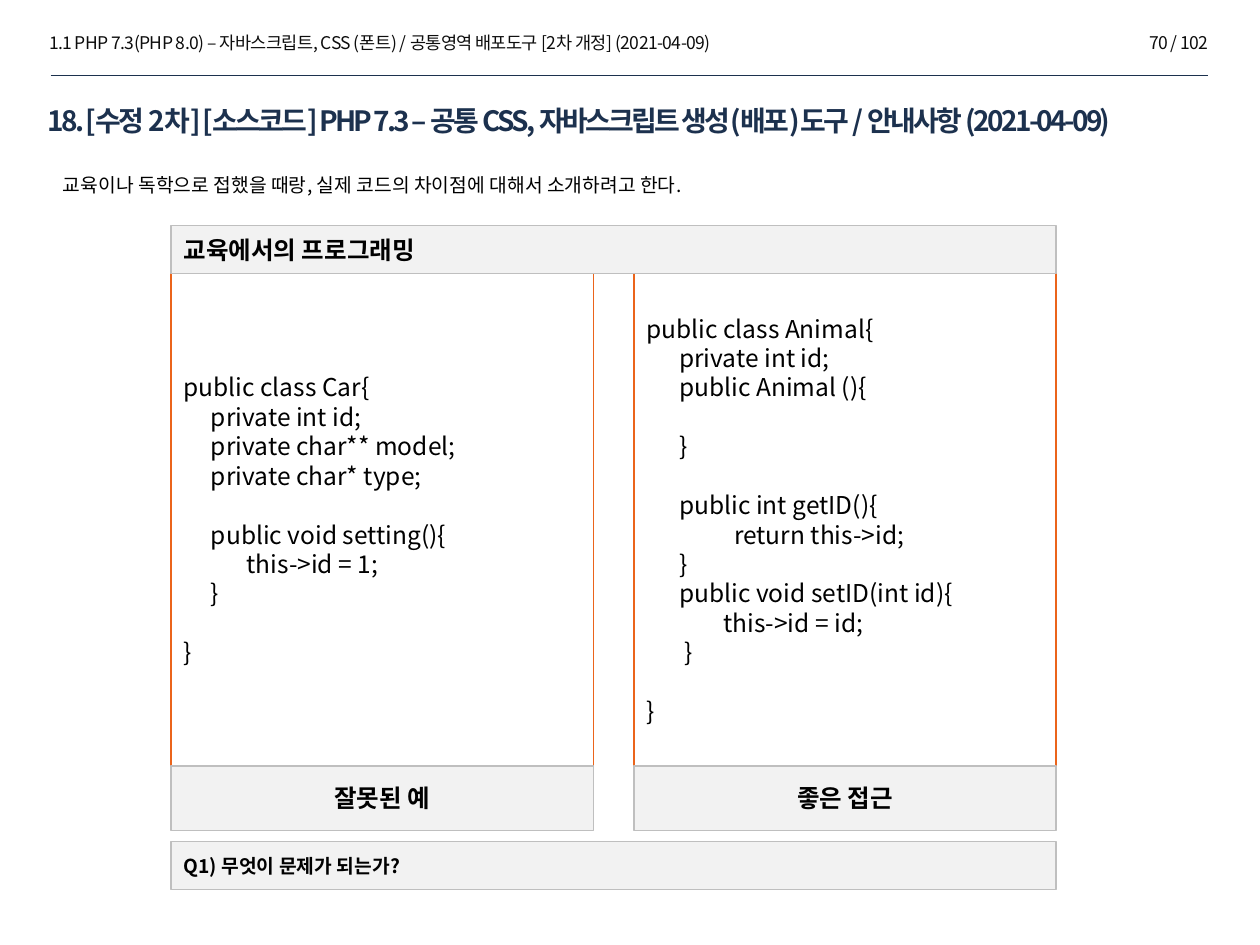
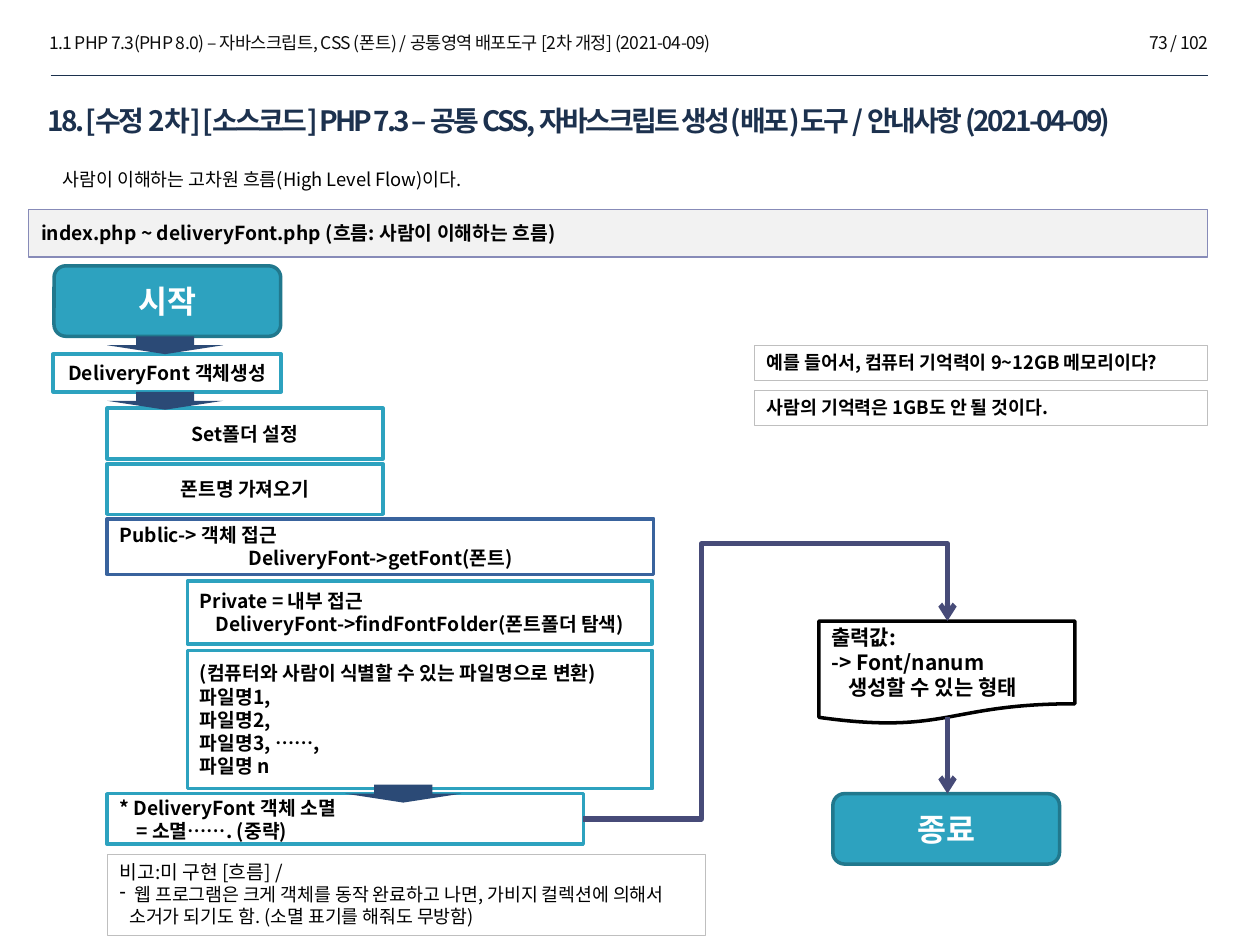
"""Build two slides of a PHP deployment-tool guide: code comparison and high-level flow."""
import pptx
import pptx.dml.color
import pptx.enum.shapes
import pptx.enum.text
import pptx.oxml
import pptx.oxml.ns
import pptx.util

Cm, Pt = pptx.util.Cm, pptx.util.Pt
RGB = pptx.dml.color.RGBColor.from_string
SHAPE = pptx.enum.shapes.MSO_SHAPE
CONNECTOR = pptx.enum.shapes.MSO_CONNECTOR
ALIGN = pptx.enum.text.PP_ALIGN
ANCHOR = pptx.enum.text.MSO_ANCHOR
qn = pptx.oxml.ns.qn


class Theme:
    font = "Noto Sans CJK KR"
    black, white, header = "000000", "FFFFFF", "0D0D0D"
    navy, panel, grey, orange = "1C314E", "F2F2F2", "BFBFBF", "EB641B"
    band, teal, teal_dark, blue = "878BB8", "2DA2BF", "21788D", "39639D"
    arrow, link = "2B4A76", "474B78"
    small, note, body, output, code, title, terminal = 10, 10.5, 11, 12, 14, 16, 18
    line_height = 1.2


def box(s, at, lines, size=Theme.body, shape=None, fill=Theme.white, line=None, width=0.75,
        color=Theme.black, bold=False, align=ALIGN.LEFT, anchor=ANCHOR.MIDDLE, spacing=0):
    frame = [Cm(v) for v in at]
    if shape is None:
        sp = s.shapes.add_textbox(*frame)
    else:
        sp = s.shapes.add_shape(shape, *frame)
        sp.shadow.inherit = False
        sp.fill.solid()
        sp.fill.fore_color.rgb = RGB(fill)
        if line:
            sp.line.color.rgb = RGB(line)
            sp.line.width = Pt(width)
        else:
            sp.line.fill.background()
    tf = sp.text_frame
    tf.word_wrap = True
    tf.vertical_anchor = anchor
    p, gap = None, 0
    for item in lines:
        text, opts = (item, {}) if isinstance(item, str) else item
        if not text:
            gap += size * Theme.line_height
            continue
        p = tf.add_paragraph() if p is not None else tf.paragraphs[0]
        p.alignment = opts.get("align", align)
        if gap:
            p.space_before = Pt(gap)
            gap = 0
        indent = opts.get("indent", 0)
        if indent:
            p_pr = p._p.get_or_add_pPr()
            p_pr.set("marL", str(Cm(indent)))
            if "bullet" in opts:
                p_pr.set("indent", str(-Cm(indent)))
                pptx.oxml.ns.nsdecls("a")
                p_pr.append(pptx.oxml.parse_xml(
                    f'<a:buChar {pptx.oxml.ns.nsdecls("a")} char="{opts["bullet"]}"/>'))
        r = p.add_run()
        r.text = text
        r.font.name = Theme.font
        r.font.size = Pt(opts.get("size", size))
        r.font.bold = bold
        r.font.color.rgb = RGB(color)
        r_pr = r._r.get_or_add_rPr()
        r_pr.makeelement(qn("a:ea"), {})
        ea = pptx.oxml.parse_xml(f'<a:ea {pptx.oxml.ns.nsdecls("a")} typeface="{Theme.font}"/>')
        r_pr.find(qn("a:latin")).addnext(ea)
        if spacing:
            r_pr.set("spc", str(int(spacing * 100)))
    return sp


def connect(s, start, end, color, width, kind=CONNECTOR.STRAIGHT, arrow=False):
    cx = s.shapes.add_connector(kind, *[Cm(v) for v in (*start, *end)])
    cx.line.color.rgb = RGB(color)
    cx.line.width = Pt(width)
    sp_pr = cx._element.spPr
    if arrow:
        ln = sp_pr.find(qn("a:ln"))
        ln.append(ln.makeelement(qn("a:tailEnd"), {"type": "arrow"}))
    sp_pr.append(sp_pr.makeelement(qn("a:effectLst"), {}))
    return cx


prs = pptx.Presentation()
prs.slide_width, prs.slide_height = Cm(25.4), Cm(19.05)

HEADER = "1.1 PHP 7.3(PHP 8.0) – 자바스크립트, CSS (폰트) / 공통영역 배포도구 [2차 개정] (2021-04-09)"
TITLE = "18. [수정 2차] [소스코드] PHP 7.3 – 공통 CSS, 자바스크립트 생성(배포)도구 / 안내사항 (2021-04-09)"
pages = [
    ("70 / 102", "교육이나 독학으로 접했을 때랑, 실제 코드의 차이점에 대해서 소개하려고 한다.",
     Theme.body, 3.25),
    ("73 / 102", "사람이 이해하는 고차원 흐름(High Level Flow)이다.", Theme.note, 3),
]
slides = []
for number, intro, intro_size, intro_top in pages:
    s = prs.slides.add_slide(prs.slide_layouts[6])
    small = dict(size=Theme.small, color=Theme.header, anchor=ANCHOR.TOP, spacing=-0.3)
    box(s, (0.74, 0.53, 22.05, 0.69), [HEADER], **small)
    connect(s, (1.02, 1.52), (24.36, 1.52), Theme.navy, 0.25)
    box(s, (0.71, 1.96, 23.65, 1.63), [TITLE], Theme.title, color=Theme.navy, bold=True,
        anchor=ANCHOR.TOP, spacing=-1.5)
    box(s, (20.22, 0.53, 4.39, 0.69), [number], align=ALIGN.RIGHT, **small)
    box(s, (1.02, intro_top, 23.52, 4.22 - intro_top), [intro], intro_size)
    slides.append(s)
compare, flow = slides

bad_code = """public class Car{
     private int id;
     private char** model;
     private char* type;

     public void setting(){
\tthis->id = 1;
     }

}"""
good_code = """public class Animal{
      private int id;
      public Animal (){

      }

      public int getID(){
                return this->id;
      }
      public void setID(int id){
              this->id = id;
       }

}"""
panel = dict(shape=SHAPE.RECTANGLE, fill=Theme.panel, line=Theme.grey, bold=True)
columns = [(3.45, bad_code, "잘못된 예"), (12.78, good_code, "좋은 접근")]
for left, code, caption in columns:
    box(compare, (left, 5.51, 8.51, 9.93), code.split("\n"), Theme.code,
        SHAPE.RECTANGLE, line=Theme.orange)
for left, code, caption in columns:
    box(compare, (left, 15.44, 8.51, 1.3), [caption], Theme.code, align=ALIGN.CENTER, **panel)
box(compare, (3.45, 4.55, 17.84, 0.96), ["교육에서의 프로그래밍"], Theme.code, **panel)
box(compare, (3.45, 16.97, 17.84, 0.96), ["Q1) 무엇이 문제가 되는가?"], **panel)

box(flow, (0.58, 4.22, 23.77, 0.96), ["index.php ~ deliveryFont.php (흐름: 사람이 이해하는 흐름)"],
    **{**panel, "line": Theme.band})

centred = {"align": ALIGN.CENTER}
steps = [
    ((1.07, 7.14, 4.6, 0.76), Theme.teal, [("DeliveryFont 객체생성", centred)]),
    ((2.16, 16, 9.6, 1.02), Theme.teal,
     ["* DeliveryFont 객체 소멸", ("= 소멸……. (중략)", {"indent": 0.34})]),
    ((2.16, 8.23, 5.56, 1.02), Theme.teal, [("Set폴더 설정", centred)]),
    ((2.16, 9.35, 5.56, 1.02), Theme.teal, [("폰트명 가져오기", centred)]),
    ((2.16, 10.46, 11.02, 1.12), Theme.blue,
     ["Public-> 객체 접근", ("DeliveryFont->getFont(폰트)", centred)]),
    ((3.78, 11.71, 9.37, 1.27), Theme.teal,
     ["Private = 내부 접근", ("DeliveryFont->findFontFolder(폰트폴더 탐색)", centred)]),
    ((3.78, 13.11, 9.37, 2.79), Theme.teal,
     ["(컴퓨터와 사람이 식별할 수 있는 파일명으로 변환)",
      "파일명1,", "파일명2,", "파일명3, ……,", "파일명 n"]),
]
for at, outline, lines in steps:
    box(flow, at, lines, shape=SHAPE.RECTANGLE, line=outline, width=2, bold=True)

box(flow, (16.51, 12.52, 5.16, 2.08),
    ["출력값:", "-> Font/nanum", ("생성할 수 있는 형태", {"indent": 0.34})], Theme.output,
    SHAPE.FLOWCHART_DOCUMENT, line=Theme.black, width=2, bold=True)
for left, top, label in [(1.09, 5.36, "시작"), (16.79, 16, "종료")]:
    box(flow, (left, top, 4.57, 1.42), [label], Theme.terminal,
        SHAPE.FLOWCHART_ALTERNATE_PROCESS, Theme.teal, Theme.teal_dark, 2, Theme.white,
        True, ALIGN.CENTER)

remark = dict(size=Theme.note, shape=SHAPE.RECTANGLE, line=Theme.grey, width=0.5,
              anchor=ANCHOR.TOP)
box(flow, (2.16, 17.22, 12.07, 1.63), [
    ("비고:미 구현 [흐름] /", {"size": Theme.body}),
    ("웹 프로그램은 크게 객체를 동작 완료하고 나면, 가비지 컬렉션에 의해서",
     {"indent": 0.3, "bullet": "-"}),
    ("소거가 되기도 함. (소멸 표기를 해줘도 무방함)", {"indent": 0.2}),
], **remark)

for left, top in [(2.16, 6.78), (2.16, 7.9), (6.96, 15.82)]:
    box(flow, (left, top, 2.34, 0.36), [], shape=SHAPE.DOWN_ARROW, fill=Theme.arrow)

elbow = connect(flow, (11.76, 16.51), (19.1, 12.52), Theme.link, 3, CONNECTOR.ELBOW, True)
geom = elbow._element.spPr.find(qn("a:prstGeom"))
geom.set("prst", "bentConnector4")
guides = geom.find(qn("a:avLst"))
for name, value in [("adj1", 32400), ("adj2", 139000)]:
    guides.append(guides.makeelement(qn("a:gd"), {"name": name, "fmla": f"val {value}"}))
connect(flow, (19.1, 14.45), (19.1, 16), Theme.link, 3, arrow=True)

memory = ["예를 들어서, 컴퓨터 기억력이 9~12GB 메모리이다?", "사람의 기억력은 1GB도 안 될 것이다."]
for i, text in enumerate(memory):
    box(flow, (15.21, 6.96 + 0.91 * i, 9.14, 0.71), [text], bold=True, **remark)

prs.save("out.pptx")
